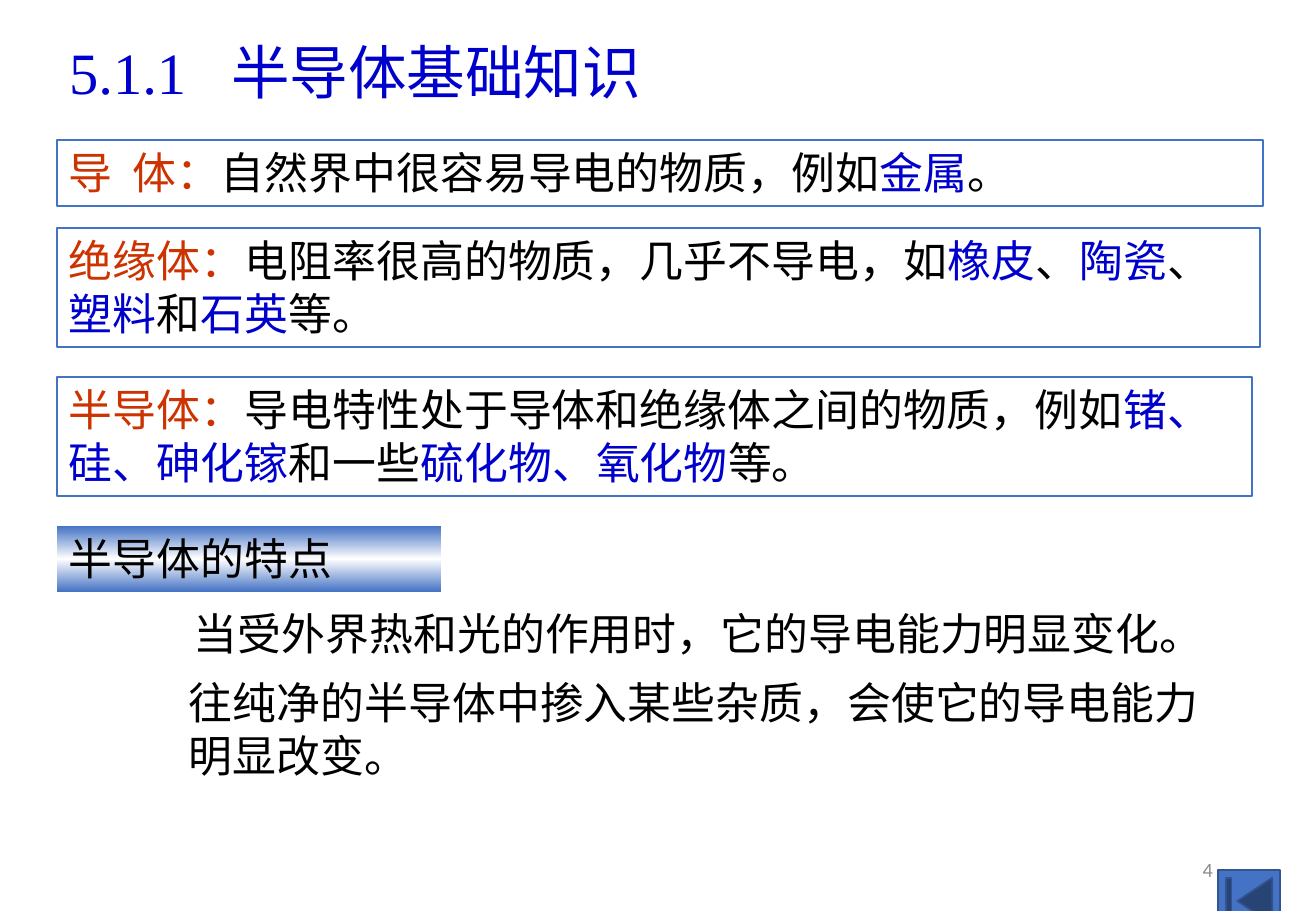
from copy import deepcopy
from pptx import Presentation
from pptx.dml.color import RGBColor
from pptx.enum.shapes import MSO_SHAPE
from pptx.enum.text import MSO_ANCHOR, MSO_AUTO_SIZE, PP_ALIGN
from pptx.oxml.ns import qn
from pptx.util import Pt
from lxml.etree import SubElement

SCALE = 7526  # EMU per px
THEME = {
    "blue": RGBColor(0, 0, 0xCC), "red": RGBColor(0xCC, 0x33, 0),
    "black": RGBColor(0, 0, 0), "gray": RGBColor(0x8C, 0x8C, 0x8C),
    "fill": RGBColor(0x44, 0x72, 0xC4), "edge": RGBColor(0x32, 0x54, 0x91),
    "white": RGBColor(255, 255, 255),
    "han": "Noto Sans CJK SC", "serif": "Times New Roman", "sans": "Calibri",
    "head": 34.7, "body": 26, "page": 12,
}


def px(*nums):
    return [n * SCALE for n in nums]


def write(shape, parts, face="han", size="body", ink="black", tab=0):
    """Fill a shape with one paragraph of (text, colour) parts."""
    frame = shape.text_frame
    frame.word_wrap = True
    frame.auto_size = MSO_AUTO_SIZE.NONE
    frame.vertical_anchor = MSO_ANCHOR.TOP
    para = frame.paragraphs[0]
    para.alignment = PP_ALIGN.LEFT
    if tab:
        tabs = SubElement(para._p.get_or_add_pPr(), qn("a:tabLst"))
        SubElement(tabs, qn("a:tab"), pos=str(tab * SCALE), algn="l")
    font = para.font
    font.name, font.size = THEME[face], Pt(THEME[size])
    font.color.rgb = THEME[ink]
    latin = font._element.find(qn("a:latin"))
    east = deepcopy(latin)
    east.tag = qn("a:ea")
    east.set("typeface", THEME["han"])
    latin.addnext(east)
    for text, tone in parts:
        run = para.add_run()
        run.text = text
        if tone != ink:
            run.font.color.rgb = THEME[tone]
    return para


deck = Presentation()
deck.slide_width, deck.slide_height = px(1316, 911)
slide = deck.slides.add_slide(deck.slide_layouts[5])
shapes = slide.shapes

# Title
title = shapes.title
title.left, title.top, title.width, title.height = px(57, 30, 691, 83)
write(title, [("5.1.1\t半导体基础知识", "blue")], "serif", "head", "blue", 162)

# Framed definitions
terms = [
    ((57, 140, 1206, 66), 64, [
        ("导\t体：", "red"), ("自然界中很容易导电的物质，例如", "black"),
        ("金属", "blue"), ("。", "black")]),
    ((57, 228, 1203, 119), 0, [
        ("绝缘体：", "red"), ("电阻率很高的物质，几乎不导电，如", "black"),
        ("橡皮", "blue"), ("、", "black"), ("陶瓷", "blue"), ("、", "black"),
        ("塑料", "blue"), ("和", "black"), ("石英", "blue"), ("等。", "black")]),
    ((57, 377, 1195, 119), 0, [
        ("半导体：", "red"),
        ("导电特性处于导体和绝缘体之间的物质，例如", "black"),
        ("锗、硅、砷化镓", "blue"), ("和一些", "black"),
        ("硫化物、氧化物", "blue"), ("等。", "black")]),
]
for place, tab, parts in terms:
    box = shapes.add_shape(MSO_SHAPE.RECTANGLE, *px(*place))
    box.shadow.inherit = False
    box.fill.background()
    box.line.color.rgb = THEME["fill"]
    box.line.width = Pt(1)
    write(box, parts, tab=tab)

# Gradient heading
band = shapes.add_shape(MSO_SHAPE.RECTANGLE, *px(57, 526, 384, 66))
band.shadow.inherit = False
band.line.fill.background()
band.fill.gradient()
band.fill.gradient_angle = 90
first = band.fill.gradient_stops[0]._gs
first.addnext(deepcopy(first))
for stop, pos, tone in zip(band.fill.gradient_stops, (0, 0.5, 1),
                           ("fill", "white", "fill")):
    stop.position = pos
    stop.color.rgb = THEME[tone]
write(band, [("半导体的特点", "black")])

# Features
facts = [
    ((182, 601, 1064, 66), "当受外界热和光的作用时，它的导电能力明显变化。"),
    ((177, 670, 1043, 119), "往纯净的半导体中掺入某些杂质，会使它的导电能力明显改变。"),
]
for place, text in facts:
    write(shapes.add_textbox(*px(*place)), [(text, "black")])

# Back button and page number
back = shapes.add_shape(MSO_SHAPE.ACTION_BUTTON_BEGINNING, *px(1218, 870, 62, 62))
back.shadow.inherit = False
back.fill.solid()
back.fill.fore_color.rgb = THEME["fill"]
back.line.color.rgb = THEME["edge"]
back.line.width = Pt(1)
page = shapes.add_textbox(*px(929, 845, 296, 49))
write(page, [("4", "gray")], "sans", "page", "gray").alignment = PP_ALIGN.RIGHT
page.text_frame.vertical_anchor = MSO_ANCHOR.MIDDLE

deck.save("out.pptx")
